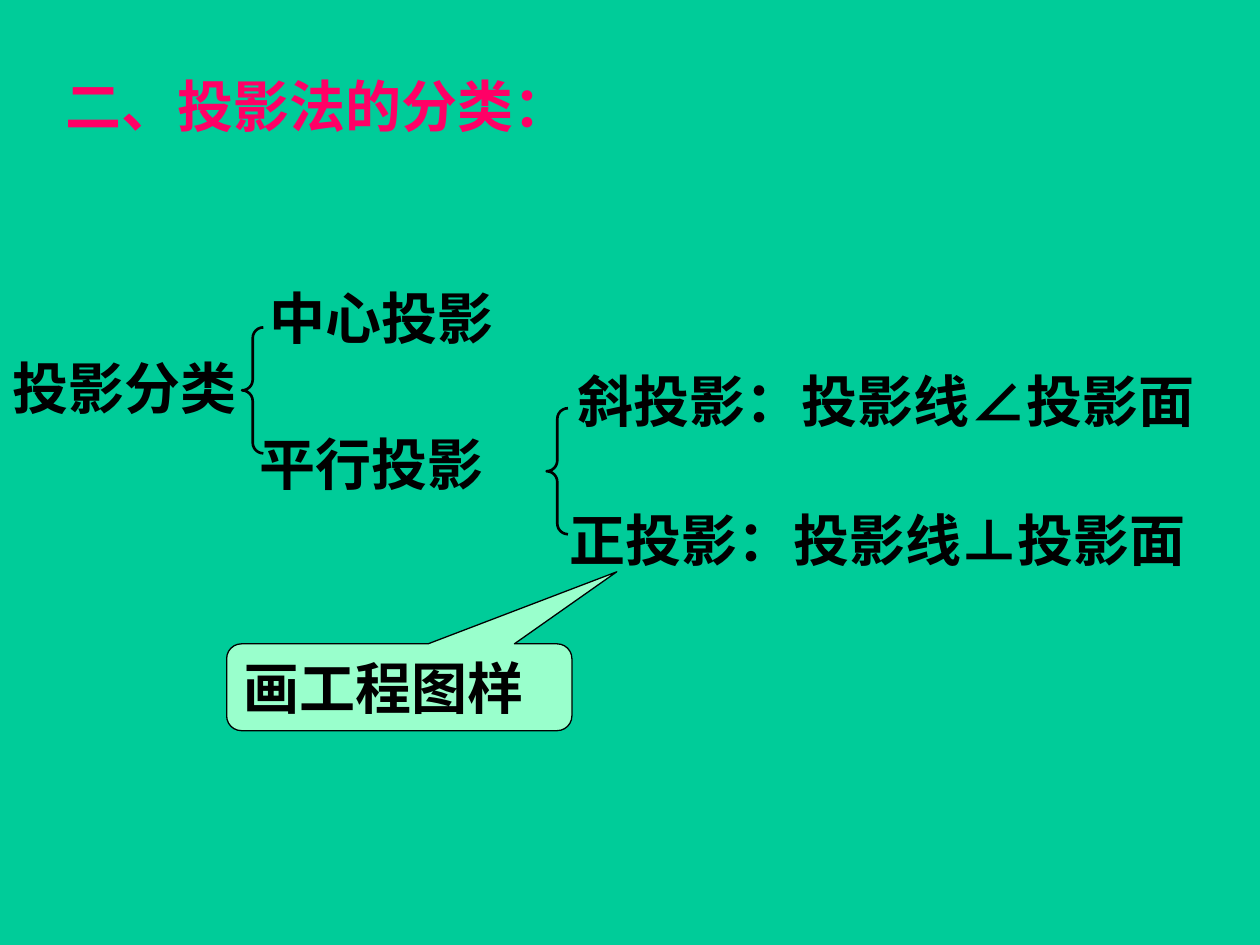
from typing import NamedTuple

from pptx import Presentation
from pptx.dml.color import RGBColor
from pptx.enum.lang import MSO_LANGUAGE_ID
from pptx.enum.shapes import MSO_SHAPE
from pptx.enum.text import MSO_ANCHOR, MSO_AUTO_SIZE, PP_ALIGN
from pptx.oxml.ns import qn
from pptx.shapes.autoshape import Shape
from pptx.slide import Slide
from pptx.util import Cm, Pt
from lxml.etree import SubElement

HUES = {"back": "00CC99", "title": "FF0066", "ink": "000000", "note": "99FFCC"}
LATIN = "Times New Roman"
HAN = "Noto Sans CJK SC"
ROW = 1.63  # height of a line of text, in cm


class Label(NamedTuple):
    words: list[tuple[str, str]]  # text and font of each run
    left: float
    top: float
    width: float
    wrap: bool = True
    anchor: MSO_ANCHOR = MSO_ANCHOR.TOP


class Brace(NamedTuple):
    left: float
    top: float


LABELS = [
    Label([("投影分类", LATIN)], 0, 7.01, 5.46),
    Label([("中心投影", LATIN)], 5.18, 5.59, 6.71),
    Label([("平行投影", LATIN)], 4.98, 8.53, 5.03, wrap=False),
    Label([("正投影：投影线", LATIN), ("⊥投影面", HAN)], 11.23, 10.06, 14.17,
          anchor=MSO_ANCHOR.MIDDLE),
    Label([("斜投影：投影线", LATIN), ("∠投影面", HAN)], 11.4, 7.26, 13.21,
          anchor=MSO_ANCHOR.MIDDLE),
]
BRACES = [Brace(4.88, 6.6), Brace(11.02, 8.23)]


def paint(hue: str) -> RGBColor:
    return RGBColor.from_string(HUES[hue])


def write(shape: Shape, words: list[tuple[str, str]], *, hue: str = "ink",
          wrap: bool = True, anchor: MSO_ANCHOR = MSO_ANCHOR.TOP) -> None:
    """Fill a shape with one bold line made of (text, font) runs."""
    frame = shape.text_frame
    frame.word_wrap = wrap
    frame.auto_size = MSO_AUTO_SIZE.SHAPE_TO_FIT_TEXT
    frame.vertical_anchor = anchor
    line = frame.paragraphs[0]
    line.alignment = PP_ALIGN.LEFT
    for text, face in words:
        run = line.add_run()
        run.text = text
        font = run.font
        font.name, font.size, font.bold = face, Pt(32), True
        font.color.rgb = paint(hue)
        font.language_id = MSO_LANGUAGE_ID.SIMPLIFIED_CHINESE
        SubElement(run._r.get_or_add_rPr(), qn("a:ea"), typeface=HAN)


def add_label(slide: Slide, item: Label) -> None:
    box = slide.shapes.add_textbox(
        Cm(item.left), Cm(item.top), Cm(item.width), Cm(ROW))
    write(box, item.words, wrap=item.wrap, anchor=item.anchor)


def add_brace(slide: Slide, item: Brace) -> None:
    brace = slide.shapes.add_shape(
        MSO_SHAPE.LEFT_BRACE, Cm(item.left), Cm(item.top), Cm(0.43), Cm(2.54))
    brace.adjustments[0] = 0.5
    brace.shadow.inherit = False
    brace.fill.background()
    brace.line.color.rgb = paint("ink")
    brace.line.width = Pt(1.5)


def add_note(slide: Slide) -> None:
    note = slide.shapes.add_shape(
        MSO_SHAPE.ROUNDED_RECTANGULAR_CALLOUT,
        Cm(4.57), Cm(12.98), Cm(6.96), Cm(1.75))
    for spot, value in enumerate((0.63, -1.33, 0.17)):
        note.adjustments[spot] = value
    note.shadow.inherit = False
    note.fill.solid()
    note.fill.fore_color.rgb = paint("note")
    note.line.color.rgb = paint("ink")
    note.line.width = Pt(0.75)
    write(note, [("画工程图样", LATIN)], anchor=MSO_ANCHOR.MIDDLE)


def add_title(slide: Slide) -> None:
    title = slide.shapes.title
    title.left, title.top = Cm(1.07), Cm(1.32)
    title.width, title.height = Cm(22.76), Cm(ROW)
    write(title, [("二、投影法的分类：", LATIN)], hue="title")


def main() -> None:
    deck = Presentation()
    deck.slide_width, deck.slide_height = Cm(25.4), Cm(19.05)
    slide = deck.slides.add_slide(deck.slide_layouts.get_by_name("Title Only"))
    slide.background.fill.solid()
    slide.background.fill.fore_color.rgb = paint("back")
    add_title(slide)
    for item in LABELS:
        add_label(slide, item)
    add_note(slide)
    for item in BRACES:
        add_brace(slide, item)
    deck.save("out.pptx")


if __name__ == "__main__":
    main()
